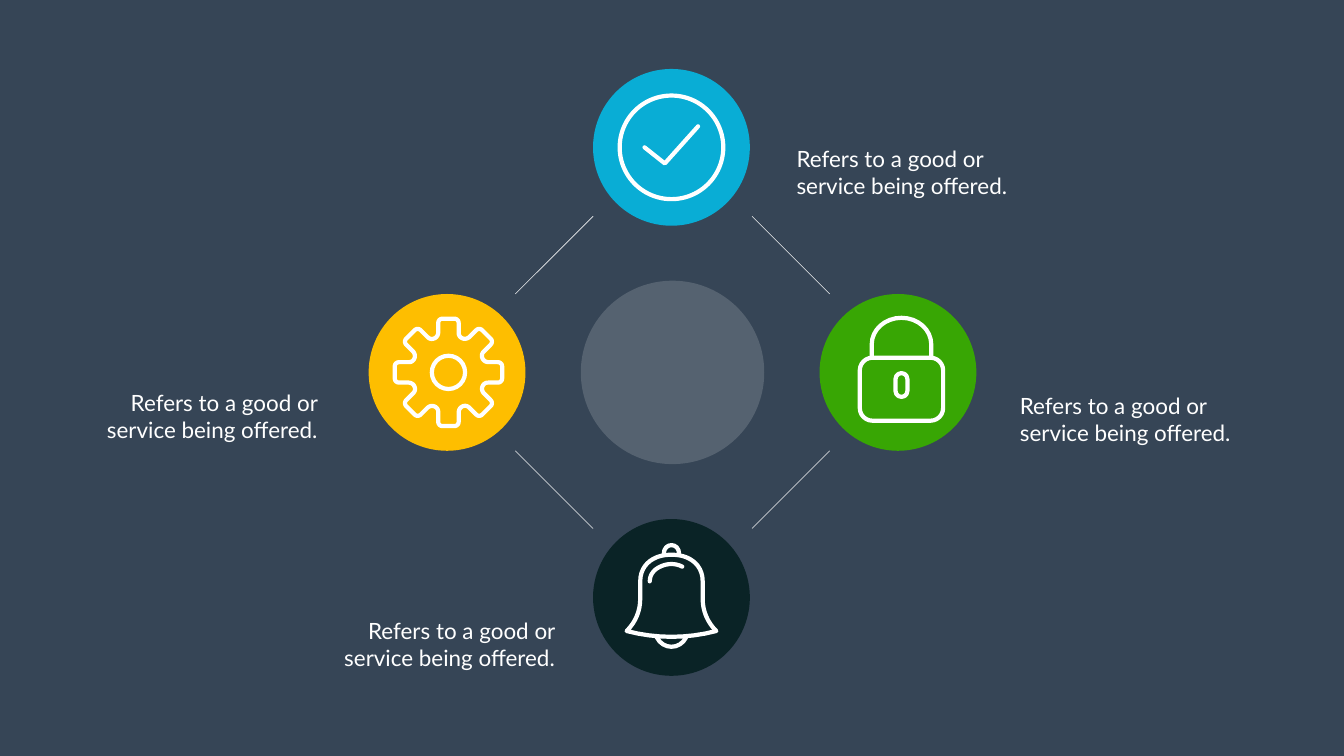
import math
from lxml import etree
from pptx import Presentation
from pptx import util as u
from pptx.dml.color import RGBColor
from pptx.enum import shapes, text
from pptx.oxml.ns import qn

Pt = u.Pt
SLATE = RGBColor(0x36, 0x45, 0x56)
BLUE = RGBColor(0x09, 0xAD, 0xD5)
GREEN = RGBColor(0x38, 0xA6, 0x04)
AMBER = RGBColor(0xFE, 0xBE, 0x00)
DARK = RGBColor(0x0A, 0x23, 0x26)
PALE = RGBColor(0xF2, 0xF2, 0xF2)
WHITE = RGBColor(0xFF, 0xFF, 0xFF)
SHAPE = shapes.MSO_SHAPE
LEFT, RIGHT = text.PP_ALIGN.LEFT, text.PP_ALIGN.RIGHT
CAPTION = "Refers to a good or service being offered."
DISC, HUB, STROKE = 224, 262, 6


def add_filled_circle(s, cx, cy, size, color):
    """Draw a plain filled circle around a centre."""
    sp = s.shapes.add_shape(SHAPE.OVAL, Pt(cx - size / 2), Pt(cy - size / 2), Pt(size), Pt(size))
    sp.shadow.inherit = False
    sp.fill.solid()
    sp.fill.fore_color.rgb = color
    sp.line.fill.background()
    return sp


def set_stroke(sp):
    """Give a shape a white outline with round caps and joins."""
    sp.shadow.inherit = False
    sp.fill.background()
    sp.line.color.rgb = WHITE
    sp.line.width = Pt(STROKE)
    ln = sp._element.spPr.find(qn("a:ln"))
    ln.set("cap", "rnd")
    etree.SubElement(ln, qn("a:round"))


def add_outline(s, preset, cx, cy, width, height, corner=None):
    """Stroke a preset shape around a centre."""
    sp = s.shapes.add_shape(preset, Pt(cx - width / 2), Pt(cy - height / 2), Pt(width), Pt(height))
    if corner is not None:
        sp.adjustments[0] = corner
    set_stroke(sp)


def flatten(path, steps=8):
    """Turn points and six-number cubic segments into a list of points."""
    points = [path[0]]
    for seg in path[1:]:
        if len(seg) == 2:
            points.append(seg)
            continue
        x0, y0 = points[-1]
        x1, y1, x2, y2, x3, y3 = seg
        for i in range(1, steps + 1):
            t = i / steps
            a, b, c, d = (1 - t) ** 3, 3 * t * (1 - t) ** 2, 3 * t * t * (1 - t), t ** 3
            points.append((a * x0 + b * x1 + c * x2 + d * x3, a * y0 + b * y1 + c * y2 + d * y3))
    return points


def add_stroke(s, cx, cy, points, close=False):
    """Stroke a line through points placed relative to a centre."""
    places = [(Pt(cx + x), Pt(cy + y)) for x, y in points]
    builder = s.shapes.build_freeform(*places[0], scale=1.0)
    builder.add_line_segments(places[1:], close=close)
    set_stroke(builder.convert_to_shape())


def add_check(s, cx, cy):
    """Draw a tick inside a ring."""
    add_outline(s, SHAPE.OVAL, cx, cy, 148, 148)
    add_stroke(s, cx, cy, [(-38.5, 0), (-9.5, 23), (38, -30)])


def add_lock(s, cx, cy):
    """Draw a padlock with a shackle and a keyhole."""
    x = cx + 5
    add_outline(s, SHAPE.ROUNDED_RECTANGLE, x, cy + 24, 119, 90, 0.2)
    add_outline(s, SHAPE.ROUNDED_RECTANGLE, x, cy + 18, 17, 34, 0.5)
    shackle = [(-42.5, -21), (-42.5, -40), (-42.5, -61, -23.5, -78, 0, -78),
               (23.5, -78, 42.5, -61, 42.5, -40), (42.5, -21)]
    add_stroke(s, x, cy, flatten(shackle))


def add_gear(s, cx, cy):
    """Draw an eight-toothed gear by turning one tooth."""
    x = cx + 2
    tooth = flatten([(-14.6, -56.5), (-14.6, -70.5), (-14.6, -74, -12, -76.7, -8.5, -76.7),
                     (8.5, -76.7), (12, -76.7, 14.6, -74, 14.6, -70.5), (14.6, -56.5),
                     (14.6, -52, 17.5, -49.6, 20, -48.6), (23, -47.3, 27, -47.9, 29.6, -50.4)])
    rim = []
    for i in range(8):
        c, d = math.cos(i * math.pi / 4), math.sin(i * math.pi / 4)
        rim += [(px * c - py * d, px * d + py * c) for px, py in tooth[:-1]]
    add_stroke(s, x, cy, rim, close=True)
    add_outline(s, SHAPE.OVAL, x, cy, 47.5, 47.5)


def add_bell(s, cx, cy):
    """Draw a bell with a knob, a clapper and a highlight."""
    side = flatten([(-64, 48), (-51, 35, -44.6, 19, -44.6, 2), (-44.6, -23),
                    (-44.6, -41, -34, -52, -22, -57), (-15, -60, -7, -61, 0, -61)])
    mirrored = [(-x, y) for x, y in reversed(side[:-1])]
    hem = flatten([(64, 48), (22, 59, -22, 59, -64, 48)])
    add_stroke(s, cx, cy, side + mirrored + hem[1:-1], close=True)
    for path in ([(-11, -62), (-11, -79, 11, -79, 11, -62)],
                 [(-21, 57), (-12, 75, 12, 75, 21, 57)],
                 [(-31, -23), (-31, -34, -23, -41, -16, -44), (-6, -49, 6, -49, 15.5, -44)]):
        add_stroke(s, cx, cy, flatten(path))


def add_hub(s, cx, cy):
    """Draw the translucent hub and the four diagonal links around it."""
    hub = add_filled_circle(s, cx, cy, HUB, PALE)
    color = hub._element.spPr.find(qn("a:solidFill"))[0]
    etree.SubElement(color, qn("a:alpha")).set("val", "17000")
    for dx in (-1, 1):
        for dy in (-1, 1):
            link = s.shapes.add_connector(
                shapes.MSO_CONNECTOR.STRAIGHT, Pt(cx + 224.5 * dx), Pt(cy + 112 * dy),
                Pt(cx + 113.5 * dx), Pt(cy + 223 * dy))
            link.line.color.rgb = PALE
            link.line.width = Pt(0.88)
            etree.SubElement(link._element.spPr, qn("a:effectLst"))


def add_caption(s, x, y, align):
    """Place a wrapped two-line caption."""
    tf = s.shapes.add_textbox(Pt(x), Pt(y), Pt(318.24), Pt(85)).text_frame
    tf.word_wrap = True
    tf.auto_size = text.MSO_AUTO_SIZE.SHAPE_TO_FIT_TEXT
    p = tf.paragraphs[0]
    p.alignment = align
    r = p.add_run()
    r.text = CAPTION
    r.font.name = "Lato"
    r.font.size = Pt(32)
    r.font.color.rgb = WHITE


def add_node(s, cx, cy, color, draw_icon, dx, dy, align):
    """Draw a disc with its icon and a caption offset from its centre."""
    add_filled_circle(s, cx, cy, DISC, color)
    draw_icon(s, cx, cy)
    add_caption(s, cx + dx, cy + dy, align)


def main():
    """Build the four-step cycle slide."""
    prs = Presentation()
    prs.slide_width, prs.slide_height = Pt(1919.52), Pt(1080)
    s = prs.slides.add_slide(prs.slide_layouts[6])
    s.background.fill.solid()
    s.background.fill.fore_color.rgb = SLATE
    add_hub(s, 960.5, 532)
    nodes = [
        (959, 210.5, BLUE, add_check, 171.5, -6.5, LEFT),
        (1282.5, 532, GREEN, add_lock, 167, 24.5, LEFT),
        (638.5, 532, AMBER, add_gear, -496, 20, RIGHT),
        (959, 853.5, DARK, add_bell, -477.5, 24, RIGHT),
    ]
    for node in nodes:
        add_node(s, *node)
    prs.save("out.pptx")


if __name__ == "__main__":
    main()
